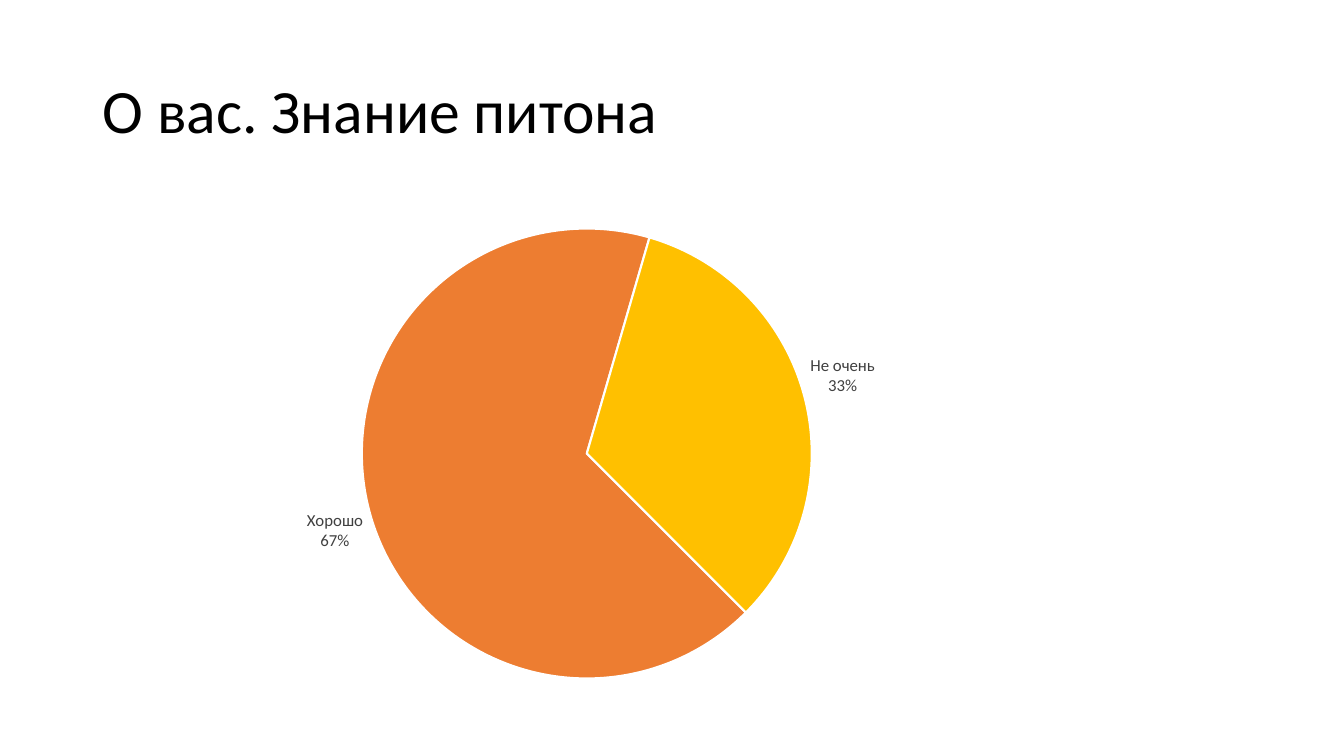
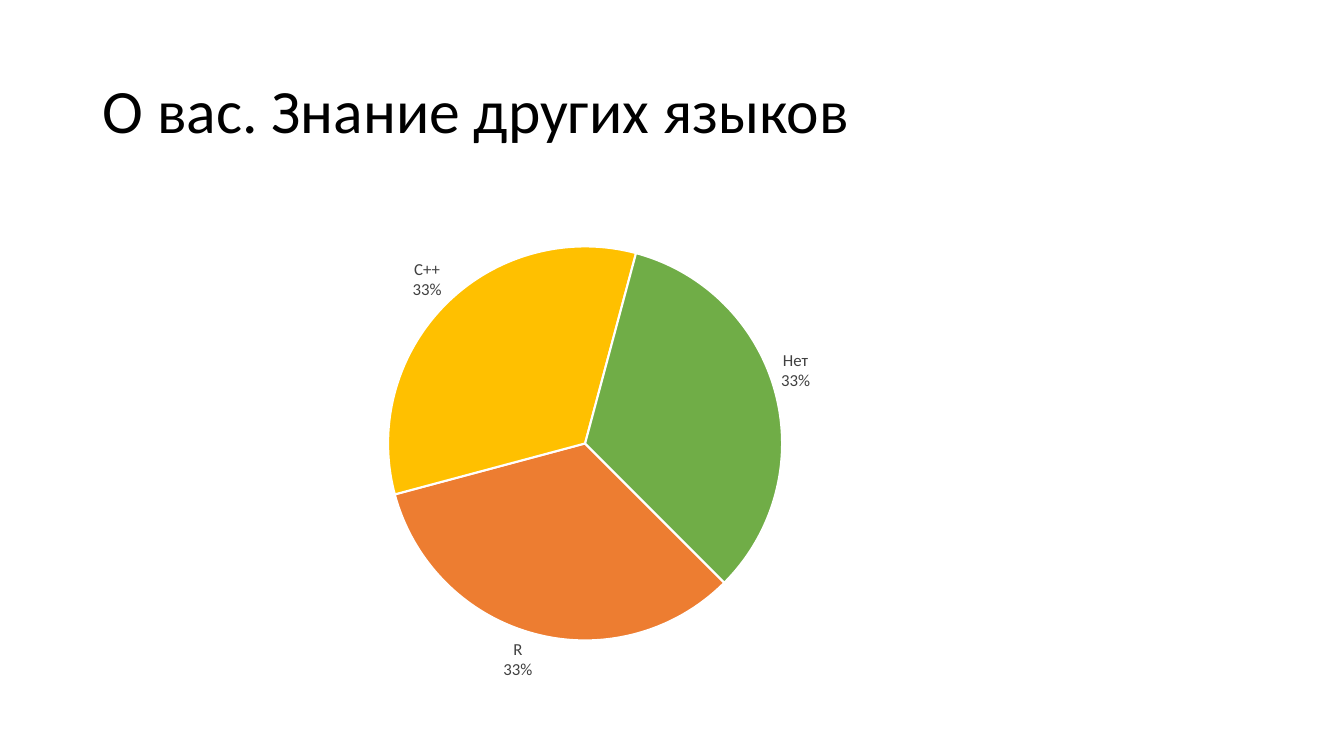
import pptx
import pptx.util
import pptx.chart.data
import pptx.dml.color
import pptx.enum.chart
import pptx.enum.text
import pptx.oxml

Cm = pptx.util.Cm
Pt = pptx.util.Pt
RGBColor = pptx.dml.color.RGBColor

BLACK = RGBColor(0x00, 0x00, 0x00)
WHITE = RGBColor(0xFF, 0xFF, 0xFF)
GREY = RGBColor(0x40, 0x40, 0x40)
ORANGE = RGBColor(0xED, 0x7D, 0x31)
YELLOW = RGBColor(0xFF, 0xC0, 0x00)
GREEN = RGBColor(0x70, 0xAD, 0x47)
SLICE_COLORS = [ORANGE, YELLOW, GREEN]
FONT = "Calibri"
CHART_W, CHART_H = 29.21, 12.1
START_ANGLE = 135
NS = 'xmlns:c="http://schemas.openxmlformats.org/drawingml/2006/chart"'

SURVEYS = [
    {"title": "О вас. Знание питона", "left": 0.28, "top": 5.41,
     "answers": {"Хорошо": 67, "Не очень": 33},
     "pie": (8.84, 0.35, 11.34)},
    {"title": "О вас. Знание других языков", "left": 0.5, "top": 5.5,
     "answers": {"R": 33, "С++": 33, "Нет": 33},
     "pie": (9.28, 0.71, 9.93)},
]


def style_font(font, size, color):
    font.name = FONT
    font.size = Pt(size)
    font.color.rgb = color


def place_pie(chart, x, y, size):
    area = chart._chartSpace.chart.plotArea
    for layout in area.xpath("c:layout"):
        area.remove(layout)
    area.insert(0, pptx.oxml.parse_xml(
        f'<c:layout {NS}><c:manualLayout><c:layoutTarget val="inner"/>'
        '<c:xMode val="edge"/><c:yMode val="edge"/>'
        f'<c:x val="{x / CHART_W:.4f}"/><c:y val="{y / CHART_H:.4f}"/>'
        f'<c:w val="{size / CHART_W:.4f}"/><c:h val="{size / CHART_H:.4f}"/>'
        '</c:manualLayout></c:layout>'))
    pie = area.xpath("c:pieChart")[0]
    for angle in pie.xpath("c:firstSliceAng"):
        pie.remove(angle)
    pie.append(pptx.oxml.parse_xml(
        f'<c:firstSliceAng {NS} val="{START_ANGLE}"/>'))


prs = pptx.Presentation()
prs.slide_width = Cm(33.87)
prs.slide_height = Cm(19.05)

for survey in SURVEYS:
    s = prs.slides.add_slide(prs.slide_layouts[5])
    title = s.shapes.title
    title.left, title.top = Cm(2.33), Cm(1.01)
    title.width, title.height = Cm(29.21), Cm(3.68)
    tf = title.text_frame
    tf.text = survey["title"]
    tf.word_wrap = True
    tf.vertical_anchor = pptx.enum.text.MSO_ANCHOR.MIDDLE
    p = tf.paragraphs[0]
    p.alignment = pptx.enum.text.PP_ALIGN.LEFT
    p.line_spacing = 0.9
    style_font(p.runs[0].font, 44, BLACK)

    data = pptx.chart.data.CategoryChartData()
    data.categories = list(survey["answers"])
    data.add_series("Series 1", list(survey["answers"].values()))
    chart = s.shapes.add_chart(
        pptx.enum.chart.XL_CHART_TYPE.PIE, Cm(survey["left"]),
        Cm(survey["top"]), Cm(CHART_W), Cm(CHART_H), data).chart
    chart.has_title = False
    chart.has_legend = False
    style_font(chart.font, 10, BLACK)

    plot = chart.plots[0]
    plot.vary_by_categories = True
    series = plot.series[0]
    for i, color in enumerate(SLICE_COLORS[:len(survey["answers"])]):
        fmt = series.points[i].format
        fmt.fill.solid()
        fmt.fill.fore_color.rgb = color
        fmt.line.color.rgb = WHITE
        fmt.line.width = Pt(1.5)

    labels = series.data_labels
    labels.show_value = False
    labels.show_category_name = True
    labels.show_percentage = True
    labels.number_format = "0%"
    labels.number_format_is_linked = False
    labels.position = pptx.enum.chart.XL_LABEL_POSITION.OUTSIDE_END
    style_font(labels.font, 12, GREY)
    labels._element.xpath("c:showBubbleSize")[0].addnext(
        pptx.oxml.parse_xml(f'<c:separator {NS}>\n</c:separator>'))
    place_pie(chart, *survey["pie"])

prs.save("out.pptx")
